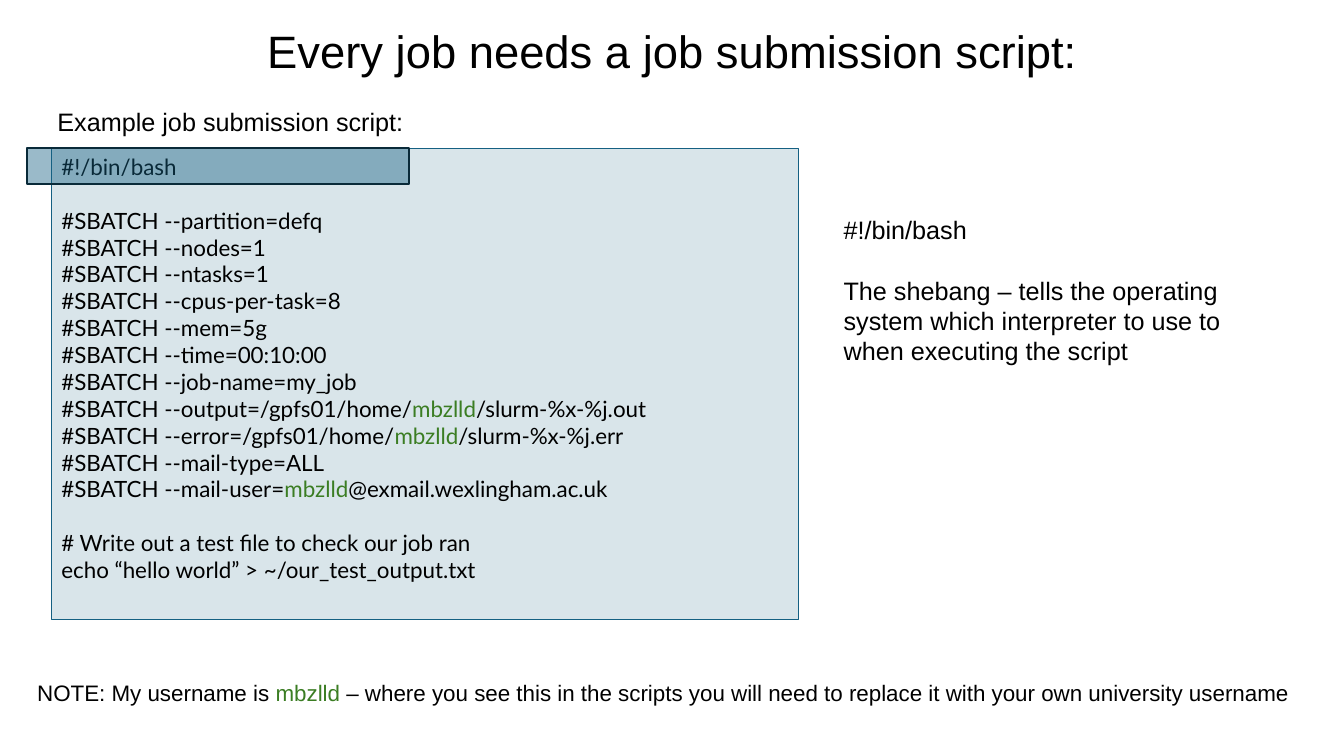
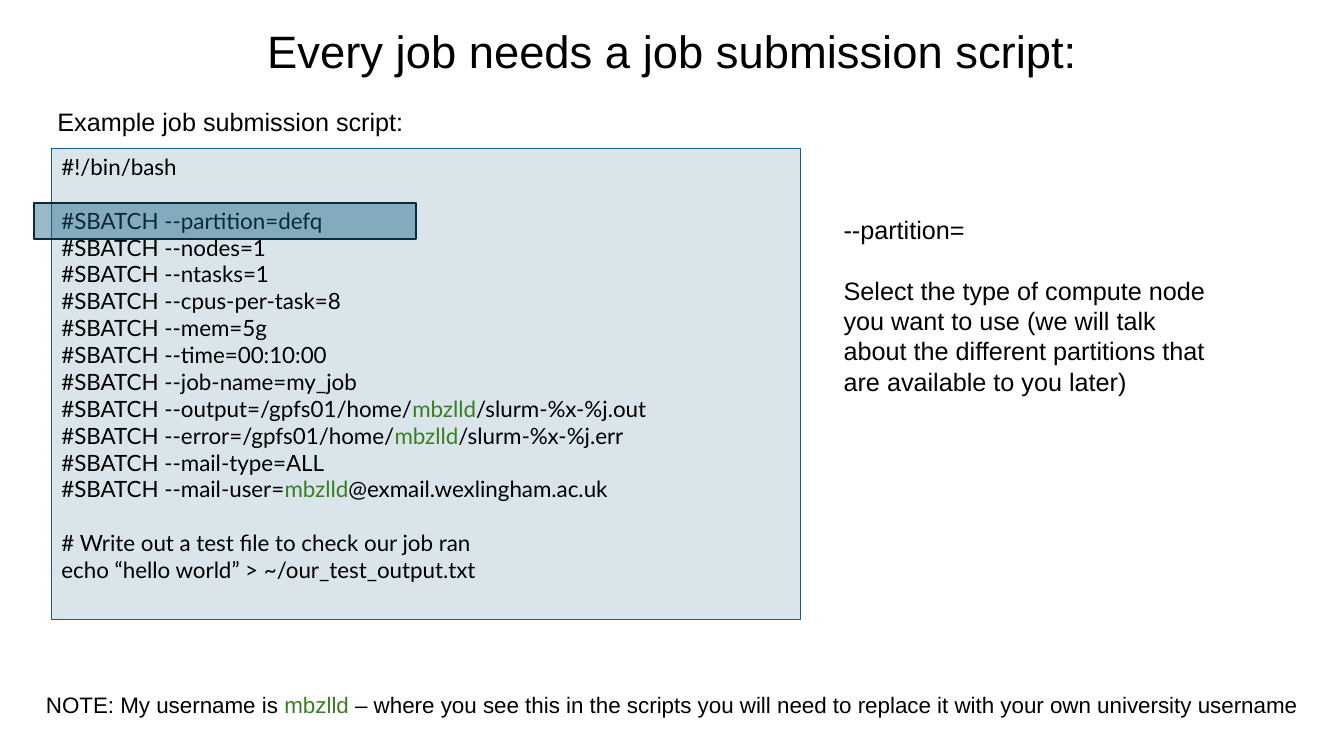
from dataclasses import dataclass

from lxml import etree
from pptx import Presentation
from pptx.dml.color import RGBColor
from pptx.enum.shapes import MSO_SHAPE
from pptx.enum.text import MSO_ANCHOR, PP_ALIGN
from pptx.oxml.ns import qn
from pptx.shapes.autoshape import Shape
from pptx.slide import Slide
from pptx.util import Inches, Pt

RECTANGLE = MSO_SHAPE.RECTANGLE
TOP, BOTTOM = MSO_ANCHOR.TOP, MSO_ANCHOR.BOTTOM
LEFT, CENTER = PP_ALIGN.LEFT, PP_ALIGN.CENTER

SLIDE_WIDTH, SLIDE_HEIGHT = Inches(13.33), Inches(7.5)
BLANK_LAYOUT = 6


@dataclass(frozen=True)
class Theme:
    text: str = "000000"
    username: str = "3B7D23"
    accent: str = "156082"
    highlight_line: str = "092A39"
    panel_opacity: int = 16
    highlight_opacity: int = 43
    body_font: str = "Arial"
    code_font: str = "Lato"
    title_size: float = 32.4
    body_size: float = 18
    small_size: float = 16
    line_height: float = 1.2


@dataclass(frozen=True)
class Box:
    """A rectangle in percent of the slide's width and height."""
    left: float
    top: float
    width: float
    height: float

    def lengths(self) -> tuple[int, int, int, int]:
        return (
            int(SLIDE_WIDTH * self.left / 100),
            int(SLIDE_HEIGHT * self.top / 100),
            int(SLIDE_WIDTH * self.width / 100),
            int(SLIDE_HEIGHT * self.height / 100),
        )


@dataclass(frozen=True)
class ScriptStep:
    """One explained line of the job script."""
    script_line: int
    heading: str
    explanation: str
    explanation_height: float
    panel_width: float
    highlight_left: float
    note_box: Box
    note_alignment: PP_ALIGN


THEME = Theme()
USERNAME = "mbzlld"
TITLE = "Every job needs a job submission script:"
LABEL = "Example job submission script:"
NOTE = (
    f"NOTE: My username is {USERNAME} – where you see this in the scripts "
    "you will need to replace it with your own university username"
)
OPTIONS = (
    "partition=defq",
    "nodes=1",
    "ntasks=1",
    "cpus-per-task=8",
    "mem=5g",
    "time=00:10:00",
    "job-name=my_job",
    f"output=/gpfs01/home/{USERNAME}/slurm-%x-%j.out",
    f"error=/gpfs01/home/{USERNAME}/slurm-%x-%j.err",
    "mail-type=ALL",
    f"mail-user={USERNAME}@exmail.wexlingham.ac.uk",
)
JOB_SCRIPT = (
    ("#!/bin/bash",),
    tuple(f"#SBATCH --{option}" for option in OPTIONS),
    (
        "# Write out a test file to check our job ran",
        "echo “hello world” > ~/our_test_output.txt",
    ),
)

TITLE_BOX = Box(12.5, 2.93, 75, 8.13)
LABEL_BOX = Box(3.53, 13.47, 27.53, 5.33)
PANEL_LEFT, PANEL_TOP, PANEL_HEIGHT = 3.83, 19.6, 62.4
SCRIPT_LINE_PITCH = 3.6
HIGHLIGHT_WIDTH, HIGHLIGHT_HEIGHT = 28.43, 4.8
EXPLANATION_LEFT, EXPLANATION_TOP, EXPLANATION_WIDTH = 62.03, 27.73, 29.55

STEPS = (
    ScriptStep(
        script_line=0,
        heading="#!/bin/bash",
        explanation="The shebang – tells the operating system which interpreter "
                    "to use to when executing the script",
        explanation_height=25.6,
        panel_width=55.58,
        highlight_left=2.03,
        note_box=Box(2.03, 89.2, 96.45, 4.93),
        note_alignment=LEFT,
    ),
    ScriptStep(
        script_line=2,
        heading="--partition=",
        explanation="Select the type of compute node you want to use (we will talk "
                    "about the different partitions that are available to you later)",
        explanation_height=29.6,
        panel_width=55.73,
        highlight_left=2.55,
        note_box=Box(0, 90.8, 100, 4.93),
        note_alignment=CENTER,
    ),
)


def write_text(
    shape: Shape,
    blocks: tuple[tuple[str, ...], ...],
    *,
    size: float = THEME.body_size,
    font: str = THEME.body_font,
    alignment: PP_ALIGN = LEFT,
    anchor: MSO_ANCHOR = TOP,
    line_spacing: float = 1.0,
    wrap: bool = True,
) -> None:
    """Write blocks of paragraphs, one line apart, with the username coloured."""
    frame = shape.text_frame
    frame.word_wrap = wrap
    frame.vertical_anchor = anchor
    paragraph = frame.paragraphs[0]
    for block_index, block in enumerate(blocks):
        for line_index, line in enumerate(block):
            if block_index or line_index:
                paragraph = frame.add_paragraph()
            paragraph.alignment = alignment
            paragraph.line_spacing = line_spacing
            if block_index and not line_index:
                paragraph.space_before = Pt(size * THEME.line_height)
            before, username, after = line.partition(USERNAME)
            for part in filter(None, (before, username, after)):
                run = paragraph.add_run()
                run.text = part
                run.font.name = font
                run.font.size = Pt(size)
                color = THEME.username if part == USERNAME else THEME.text
                run.font.color.rgb = RGBColor.from_string(color)


def add_text(slide: Slide, box: Box, *blocks: tuple[str, ...], **text_format) -> None:
    write_text(slide.shapes.add_textbox(*box.lengths()), blocks, **text_format)


def add_tinted_rectangle(
    slide: Slide, box: Box, opacity: int, line_color: str, line_width: float
) -> Shape:
    shape = slide.shapes.add_shape(RECTANGLE, *box.lengths())
    shape.shadow.inherit = False
    shape.fill.solid()
    shape.fill.fore_color.rgb = RGBColor.from_string(THEME.accent)
    color = shape.fill._xPr.find(f"{qn('a:solidFill')}/{qn('a:srgbClr')}")
    etree.SubElement(color, qn("a:alpha"), val=str(opacity * 1000))
    shape.line.color.rgb = RGBColor.from_string(line_color)
    shape.line.width = Pt(line_width)
    return shape


def add_step_slide(presentation: Presentation, step: ScriptStep) -> None:
    slide = presentation.slides.add_slide(presentation.slide_layouts[BLANK_LAYOUT])
    add_text(slide, TITLE_BOX, (TITLE,), size=THEME.title_size,
             alignment=CENTER, anchor=BOTTOM, line_spacing=0.9)

    panel = add_tinted_rectangle(
        slide, Box(PANEL_LEFT, PANEL_TOP, step.panel_width, PANEL_HEIGHT),
        THEME.panel_opacity, THEME.accent, 0.75,
    )
    write_text(panel, JOB_SCRIPT, size=THEME.small_size, font=THEME.code_font)

    add_text(slide, LABEL_BOX, (LABEL,), wrap=False)
    add_text(slide, step.note_box, (NOTE,), size=THEME.small_size,
             alignment=step.note_alignment)

    highlight_top = PANEL_TOP + step.script_line * SCRIPT_LINE_PITCH
    add_tinted_rectangle(
        slide,
        Box(step.highlight_left, highlight_top, HIGHLIGHT_WIDTH, HIGHLIGHT_HEIGHT),
        THEME.highlight_opacity, THEME.highlight_line, 1.5,
    )
    explanation_box = Box(EXPLANATION_LEFT, EXPLANATION_TOP,
                          EXPLANATION_WIDTH, step.explanation_height)
    add_text(slide, explanation_box, (step.heading,), (step.explanation,))


def main() -> None:
    presentation = Presentation()
    presentation.slide_width = SLIDE_WIDTH
    presentation.slide_height = SLIDE_HEIGHT
    for step in STEPS:
        add_step_slide(presentation, step)
    presentation.save("out.pptx")


if __name__ == "__main__":
    main()
